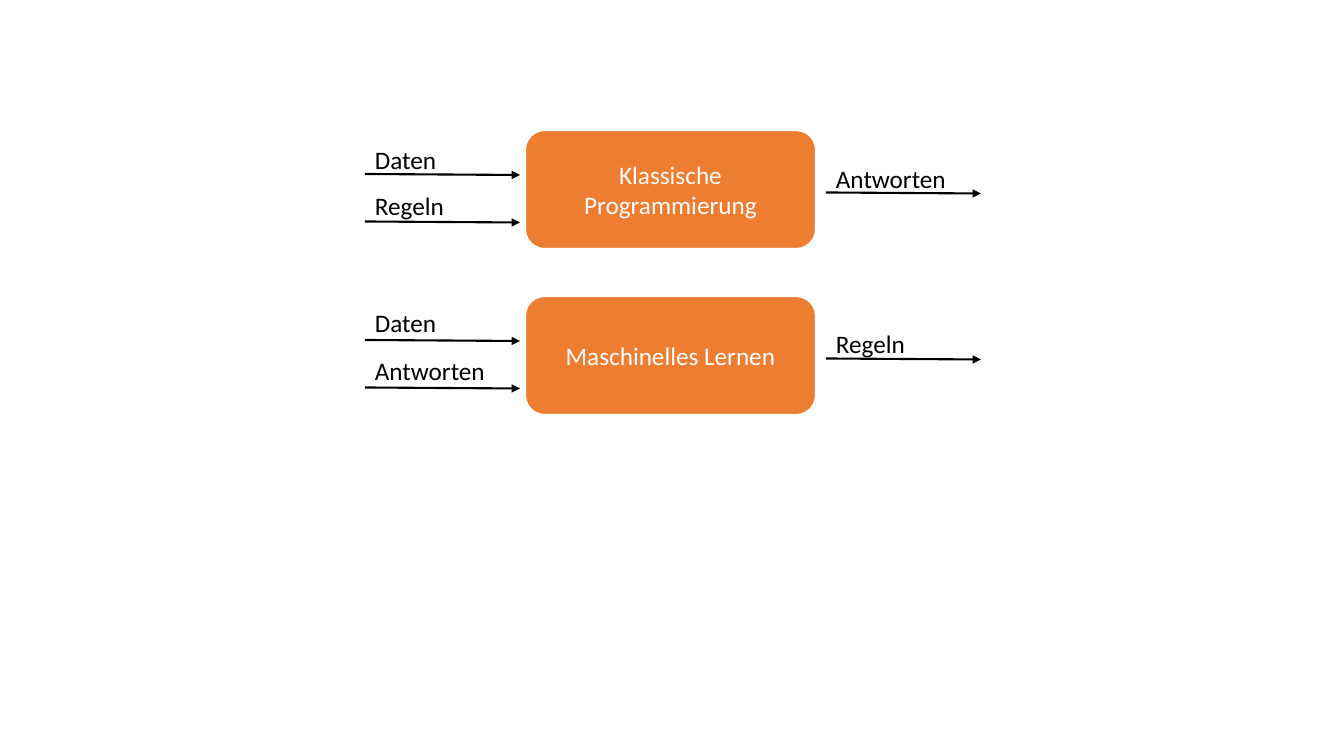
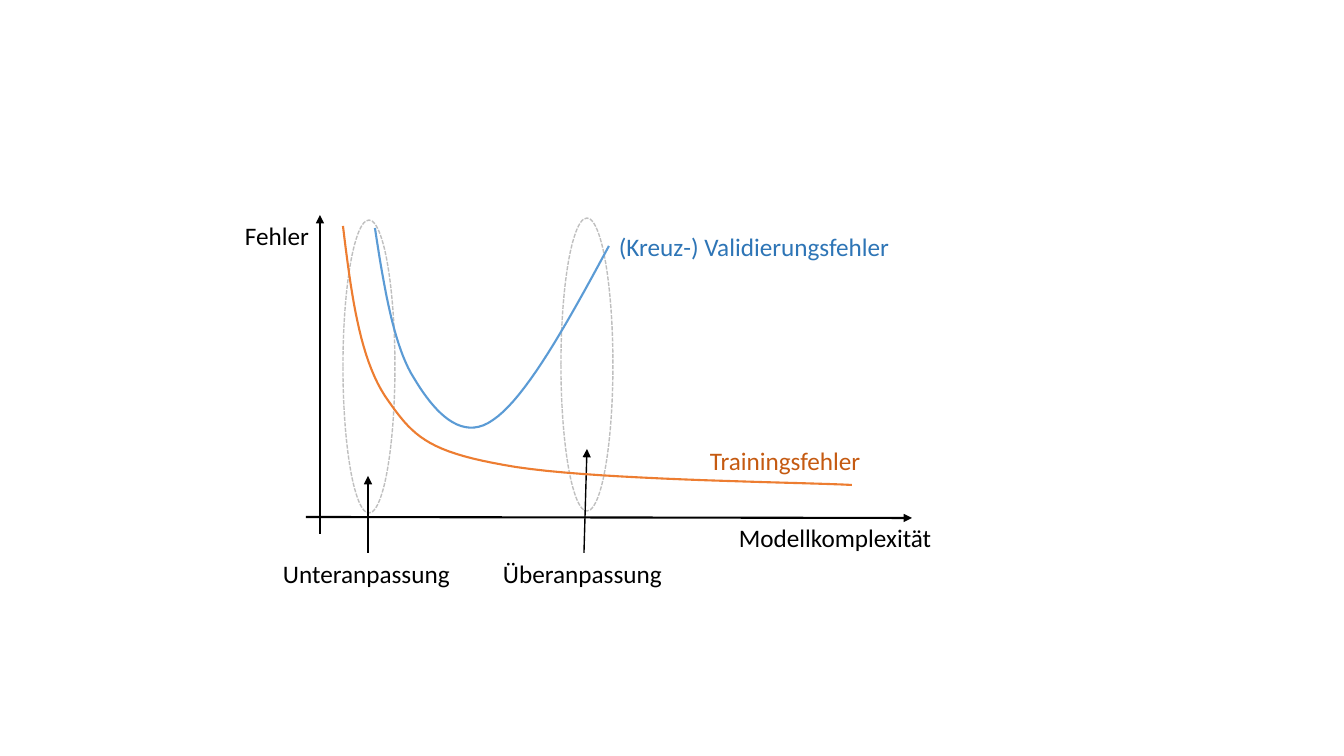
from lxml.etree import SubElement
from pptx import Presentation
from pptx.dml.color import RGBColor
from pptx.enum.dml import MSO_LINE
from pptx.enum.shapes import MSO_CONNECTOR, MSO_SHAPE
from pptx.enum.text import MSO_ANCHOR, MSO_AUTO_SIZE, PP_ALIGN
from pptx.oxml.ns import qn
from pptx.util import Pt

SCALE = 914400 / 100.8
FONT = "Calibri"
BLACK, WHITE, GREY = "000000", "FFFFFF", "BFBFBF"
ORANGE, DARK_ORANGE = "ED7D31", "C55A11"
BLUE, DARK_BLUE = "5B9BD5", "2E75B6"
LABEL_WIDTHS = {
    "Daten": 82, "Regeln": 90, "Antworten": 131, "Fehler": 86,
    "Modellkomplexität": 215, "(Kreuz-) Validierungsfehler": 294,
    "Trainingsfehler": 172, "Unteranpassung": 188, "Überanpassung": 181,
}
LABEL_HEIGHT = 40
CURVE_STEPS = 20


def px(*lengths):
    return [round(length * SCALE) for length in lengths]


def color(value):
    return RGBColor.from_string(value)


def set_line(shape, value, width, dash=None):
    shape.line.color.rgb = color(value)
    shape.line.width = Pt(width)
    if dash:
        shape.line.dash_style = dash


def write(frame, text, ink=BLACK, align=PP_ALIGN.LEFT, anchor=MSO_ANCHOR.TOP):
    frame.vertical_anchor = anchor
    para = frame.paragraphs[0]
    para.alignment = align
    span = para.add_run()
    span.text = text
    span.font.name = FONT
    span.font.size = Pt(18)
    span.font.color.rgb = color(ink)


def add_label(page, text, left, top, **style):
    box = page.shapes.add_textbox(*px(left, top, LABEL_WIDTHS[text], LABEL_HEIGHT))
    box.text_frame.word_wrap = False
    box.text_frame.auto_size = MSO_AUTO_SIZE.SHAPE_TO_FIT_TEXT
    write(box.text_frame, text, **style)


def add_arrow(page, start, end, width=1.5):
    arrow = page.shapes.add_connector(MSO_CONNECTOR.STRAIGHT, *px(*start, *end))
    set_line(arrow, BLACK, width)
    SubElement(arrow.line._get_or_add_ln(), qn("a:tailEnd"), type="triangle")
    SubElement(arrow._element.spPr, qn("a:effectLst"))


def bezier_points(start, segments):
    points = [start]
    for first, second, end in segments:
        for step in range(1, CURVE_STEPS + 1):
            t = step / CURVE_STEPS
            u = 1 - t
            points.append(tuple(
                u**3 * a + 3 * u * u * t * b + 3 * u * t * t * c + t**3 * d
                for a, b, c, d in zip(start, first, second, end)))
        start = end
    return points


def add_curve(page, left, top, ink, start, segments):
    points = [px(left + x, top + y) for x, y in bezier_points(start, segments)]
    builder = page.shapes.build_freeform(*points[0], scale=1.0)
    builder.add_line_segments(points[1:], close=False)
    curve = builder.convert_to_shape()
    curve.shadow.inherit = False
    curve.fill.background()
    set_line(curve, ink, 1.5)


def draw_process(page, left, top, title, inputs, output):
    box = page.shapes.add_shape(MSO_SHAPE.ROUNDED_RECTANGLE, *px(left + 160, top, 291, 119))
    box.shadow.inherit = False
    box.fill.solid()
    box.fill.fore_color.rgb = color(ORANGE)
    set_line(box, WHITE, 1.5)
    box.text_frame.word_wrap = True
    write(box.text_frame, title, ink=WHITE, align=PP_ALIGN.CENTER, anchor=MSO_ANCHOR.MIDDLE)
    flows = [(left, 44, *inputs[0]), (left, 91.5, *inputs[1]), (left + 461, 62.5, *output)]
    for x, line_top, text, label_top in flows:
        y = top + line_top
        add_arrow(page, (x, y), (x + 155, y + 1))
        add_label(page, text, x, top + label_top)


def draw_error_plot(page, left, top):
    for x, y in ((261, 18), (43, 20)):
        zone = page.shapes.add_shape(MSO_SHAPE.OVAL, *px(left + x, top + y, 52, 293))
        zone.shadow.inherit = False
        zone.fill.background()
        set_line(zone, GREY, 1, MSO_LINE.SQUARE_DOT)
    arrows = [
        ((20, 334), (20, 15), 1.5),
        ((6, 317), (612, 318), 1.5),
        ((68, 353), (68, 276), 1),
        ((284, 353), (287, 249), 1),
    ]
    for (x1, y1), (x2, y2), width in arrows:
        add_arrow(page, (left + x1, top + y1), (left + x2, top + y2), width)
    add_curve(page, left, top, ORANGE, (43, 26), [
        ((51, 91), (59, 156), (85, 196)),
        ((112, 235), (125, 251), (204, 265)),
        ((282, 280), (491, 282), (552, 285)),
    ])
    add_curve(page, left, top, BLUE, (75, 28), [
        ((84, 87), (94, 147), (114, 178)),
        ((133, 210), (161, 243), (193, 220)),
        ((226, 198), (268, 122), (309, 46)),
    ])
    labels = [
        ("Fehler", -65, 15, BLACK),
        ("Modellkomplexität", 429, 317, BLACK),
        ("(Kreuz-) Validierungsfehler", 309, 26, DARK_BLUE),
        ("Trainingsfehler", 400, 240, DARK_ORANGE),
        ("Unteranpassung", -27, 353, BLACK),
        ("Überanpassung", 193, 353, BLACK),
    ]
    for text, x, y, ink in labels:
        add_label(page, text, left + x, top + y, ink=ink)


deck = Presentation()
deck.slide_width, deck.slide_height = px(1344, 756)
blank = deck.slide_layouts[6]

comparison = deck.slides.add_slide(blank)
draw_process(comparison, 365, 130, "Klassische Programmierung",
             [("Daten", 9), ("Regeln", 55)], ("Antworten", 28))
draw_process(comparison, 365, 296, "Maschinelles Lernen",
             [("Daten", 6), ("Antworten", 54)], ("Regeln", 27))

draw_error_plot(deck.slides.add_slide(blank), 300, 200)

deck.save("out.pptx")
